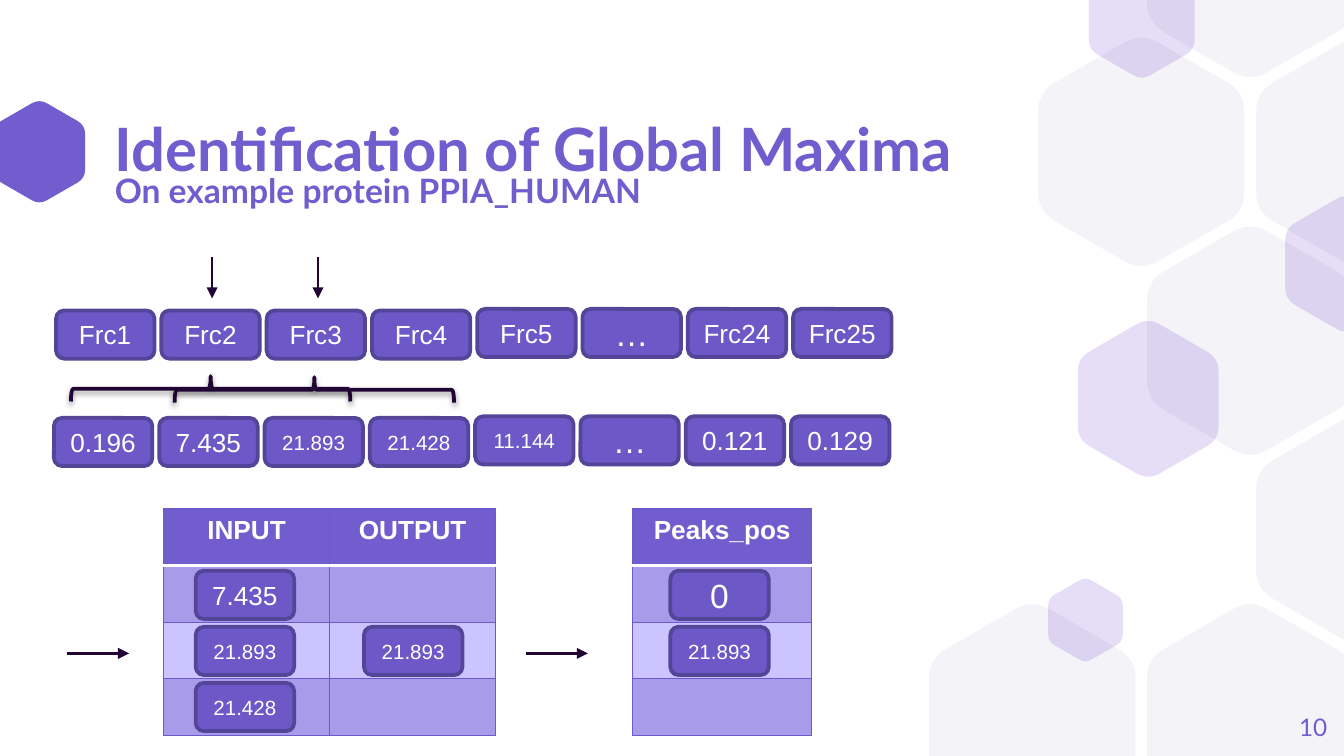
import math

from pptx import Presentation
from pptx.dml.color import RGBColor
from pptx.enum.shapes import MSO_CONNECTOR, MSO_SHAPE
from pptx.enum.text import MSO_ANCHOR, PP_ALIGN
from pptx.oxml.ns import qn
from pptx.oxml.xmlchemy import OxmlElement
from pptx.util import Cm, Pt

ROUND_RECT, LEFT_BRACE = MSO_SHAPE.ROUNDED_RECTANGLE, MSO_SHAPE.LEFT_BRACE
STRAIGHT = MSO_CONNECTOR.STRAIGHT
MIDDLE = MSO_ANCHOR.MIDDLE
LEFT, CENTER, RIGHT = PP_ALIGN.LEFT, PP_ALIGN.CENTER, PP_ALIGN.RIGHT

COLORS = {
    "purple": "725DCF", "chip": "6C58C6", "chip_line": "544599",
    "grid": "6E58CD", "band": "A79BEA", "light_band": "CCC4FE",
    "ink": "210635", "pale": "F4F3F8", "accent": "5322C9",
    "white": "FFFFFF", "black": "000000",
}
SLIDE_W, SLIDE_H = 25.4, 14.29
CHIP_W, CHIP_H, CHIP_PITCH = 1.86, 0.91, 1.99
ROW_H = 1.07
ROUNDING = 1 / 6  # share of a hexagon side taken by each rounded corner


def rgb(name):
    return RGBColor.from_string(COLORS[name])


def add_xml(parent, tag, **attrs):
    child = OxmlElement(tag)
    for key, value in attrs.items():
        child.set(key, str(value))
    parent.append(child)
    return child


def format_text(tf, size, color="purple", font="Lato", bold=False, align=LEFT):
    p = tf.paragraphs[0]
    p.alignment = align
    for r in p.runs:
        r.font.size, r.font.name, r.font.bold = Pt(size), font, bold
        r.font.color.rgb = rgb(color)


def place_label(sp, text, box, size, bold=False, align=LEFT, spacing=None):
    sp.left, sp.top, sp.width, sp.height = map(Cm, box)
    tf = sp.text_frame
    tf.text = text
    tf.word_wrap = True
    tf.vertical_anchor = MIDDLE
    tf.margin_left = tf.margin_right = tf.margin_top = tf.margin_bottom = 0
    tf.paragraphs[0].line_spacing = spacing
    format_text(tf, size, bold=bold, align=align)


def round_corners(sp, corners, top_bulge, bottom_bulge):
    """Turn every second segment into a curve and grow the frame to hold the tips."""
    left, top = sp.left, sp.top
    segments = list(sp._element.iter(qn("a:lnTo")))
    for segment, (x, y) in zip(segments[::2], corners):
        curve = OxmlElement("a:quadBezTo")
        add_xml(curve, "a:pt", x=Cm(x) - left, y=Cm(y) - top)
        curve.append(segment[0])
        segment.getparent().replace(segment, curve)
    for pt in sp._element.iter(qn("a:pt")):
        pt.set("y", str(int(pt.get("y")) + top_bulge))
    sp.top = top - top_bulge
    sp.height = sp.height + top_bulge + bottom_bulge
    for outline in sp._element.iter(qn("a:path")):
        outline.set("h", str(sp.height))


def add_hexagon(s, left, center_y, width, color, alpha=None):
    """Pointy-top hexagon with rounded corners, cut at the slide's top and bottom."""
    radius = width / math.sqrt(3)
    corners = [(left + width / 2 + radius * math.sin(k * math.pi / 3),
                center_y - radius * math.cos(k * math.pi / 3)) for k in range(-1, 5)]
    kept = [k for k in range(6) if 0 <= corners[k][1] <= SLIDE_H]
    points = []
    for k in kept:
        for near in (corners[k - 1], corners[(k + 1) % 6]):
            points.append([c + (n - c) * ROUNDING for c, n in zip(corners[k], near)])
    if len(kept) < 6:
        edge = 0 if center_y < SLIDE_H / 2 else SLIDE_H
        points += [(corners[k][0], edge) for k in (kept[-1], kept[0])]

    points = [(Cm(x), Cm(y)) for x, y in points]
    builder = s.shapes.build_freeform(*points[0])
    builder.add_line_segments(points[1:], close=True)
    sp = builder.convert_to_shape()
    bulge = Cm(radius * ROUNDING / 4)
    round_corners(sp, [corners[k] for k in kept],
                  bulge if 1 in kept else 0, bulge if 4 in kept else 0)
    sp.shadow.inherit = False
    sp.fill.solid()
    sp.fill.fore_color.rgb = rgb(color)
    sp.line.fill.background()
    if alpha:
        add_xml(sp._element.spPr.find(qn("a:solidFill"))[0], "a:alpha", val=alpha * 1000)


def add_chip(s, text, x, y, size=14):
    sp = s.shapes.add_shape(ROUND_RECT, Cm(x), Cm(y), Cm(CHIP_W), Cm(CHIP_H))
    sp.shadow.inherit = False
    sp.fill.solid()
    sp.fill.fore_color.rgb = rgb("chip")
    sp.line.color.rgb = rgb("chip_line")
    sp.line.width = Pt(2)
    tf = sp.text_frame
    tf.text = text
    tf.vertical_anchor = MIDDLE
    format_text(tf, size, "white", "Arial", align=CENTER)


def add_chip_row(s, labels, x, y):
    for i, (text, size) in enumerate(labels):
        add_chip(s, text, x + i * CHIP_PITCH, y if i < 4 else y - 0.03, size)


def add_arrow(s, x1, y1, x2, y2):
    line = s.shapes.add_connector(STRAIGHT, Cm(x1), Cm(y1), Cm(x2), Cm(y2))
    line.line.color.rgb = rgb("ink")
    line.line.width = Pt(1.25)
    add_xml(line._element.spPr.find(qn("a:ln")), "a:tailEnd", type="triangle")
    add_xml(line._element.spPr, "a:effectLst")


def add_brace(s, x, y):
    sp = s.shapes.add_shape(LEFT_BRACE, Cm(x), Cm(y), Cm(0.48), Cm(5.28))
    sp.rotation = 90
    sp.fill.background()
    sp.line.color.rgb = rgb("ink")
    sp.line.width = Pt(2)
    sp.shadow.inherit = False
    shadow = add_xml(sp._element.spPr.find(qn("a:effectLst")), "a:outerShdw",
                     blurRad=Pt(3.1), dist=Pt(1.6), dir=5400000, rotWithShape=0)
    color = add_xml(shadow, "a:srgbClr", val=COLORS["black"])
    add_xml(color, "a:alpha", val=38000)


def set_borders(cell, row):
    tcPr = cell._tc.get_or_add_tcPr()
    for i, side in enumerate(("lnL", "lnR", "lnT", "lnB")):
        header_rule = (row, side) in ((0, "lnB"), (1, "lnT"))
        ln = OxmlElement(f"a:{side}")
        ln.set("w", str(Pt(2 if header_rule else 0.75)))
        fill = add_xml(ln, "a:solidFill")
        add_xml(fill, "a:srgbClr", val=COLORS["white" if header_rule else "grid"])
        tcPr.insert(i, ln)


def add_step_table(s, headers, x, y, col_w):
    table = s.shapes.add_table(4, len(headers), Cm(x), Cm(y),
                               Cm(col_w * len(headers)), Cm(4 * ROW_H)).table
    for col in table.columns:
        col.width = Cm(col_w)
    for i, color in enumerate(("purple", "band", "light_band", "band")):
        table.rows[i].height = Cm(ROW_H)
        for j, header in enumerate(headers):
            cell = table.cell(i, j)
            cell.fill.solid()
            cell.fill.fore_color.rgb = rgb(color)
            set_borders(cell, i)
            if i == 0:
                cell.text = header
                format_text(cell.text_frame, 14, "white", "Arial", True, CENTER)


def main():
    prs = Presentation()
    prs.slide_width, prs.slide_height = Cm(SLIDE_W), Cm(SLIDE_H)
    s = prs.slides.add_slide(prs.slide_layouts[5])

    # Hexagon background: honeycomb cells as (column, row), then accents
    add_hexagon(s, -0.12, 2.87, 1.73, "purple")
    for col, row in ((0, 4), (2, 4), (3, 1), (2, 0), (2, 2), (1, 1), (3, 3)):
        add_hexagon(s, 17.56 + 2.06 * col, -0.7 + 3.57 * row, 3.9, "pale")
    for x, y, width in ((24.29, 4.99, 2.32), (19.81, 11.72, 1.41),
                        (20.58, 0.36, 2), (20.37, 7.54, 2.66)):
        add_hexagon(s, x, y, width, "accent", 15)

    # Title, subtitle and page number
    place_label(s.shapes.title, "Identification of Global Maxima",
                (2.17, 2.33, 16.69, 1.09), 32, True, spacing=0.9)
    for text, box, size, bold, align, spacing in (
            ("On example protein PPIA_HUMAN", (2.17, 3.09, 16.69, 1.09), 18, True, LEFT, 0.9),
            ("10", (23.56, 13.2, 1.52, 1.09), 13, False, RIGHT, None)):
        place_label(s.shapes.add_textbox(0, 0, 0, 0), text, box, size, bold, align, spacing)

    # Fractions and their values
    add_chip_row(s, (("Frc1", 14), ("Frc2", 14), ("Frc3", 14), ("Frc4", 14),
                     ("Frc5", 14), ("…", 18), ("Frc24", 14), ("Frc25", 14)), 1.06, 5.87)
    add_chip_row(s, (("0.196", 14), ("7.435", 14), ("21.893", 11), ("21.428", 11),
                     ("11.144", 11), ("…", 18), ("0.121", 14), ("0.129", 14)), 1.02, 7.9)

    # Sliding windows
    add_brace(s, 3.74, 4.71)
    add_brace(s, 5.7, 4.73)
    for x in (4.01, 6.01):
        add_arrow(s, x, 4.85, x, 5.64)

    # Tables with the values of the current step
    add_step_table(s, ("INPUT", "OUTPUT"), 3.09, 9.62, 3.14)
    add_step_table(s, ("Peaks_pos",), 11.96, 9.62, 3.38)
    for x in (1.27, 9.94):
        add_arrow(s, x, 12.35, x + 1.17, 12.35)
    for text, x, row, size in (("7.435", 3.7, 0, 14), ("21.893", 3.7, 1, 11),
                               ("21.428", 3.7, 2, 11), ("21.893", 6.88, 1, 11),
                               ("0", 12.67, 0, 18), ("21.893", 12.67, 1, 11)):
        add_chip(s, text, x, 10.79 + 1.06 * row, size)

    prs.save("out.pptx")


if __name__ == "__main__":
    main()
